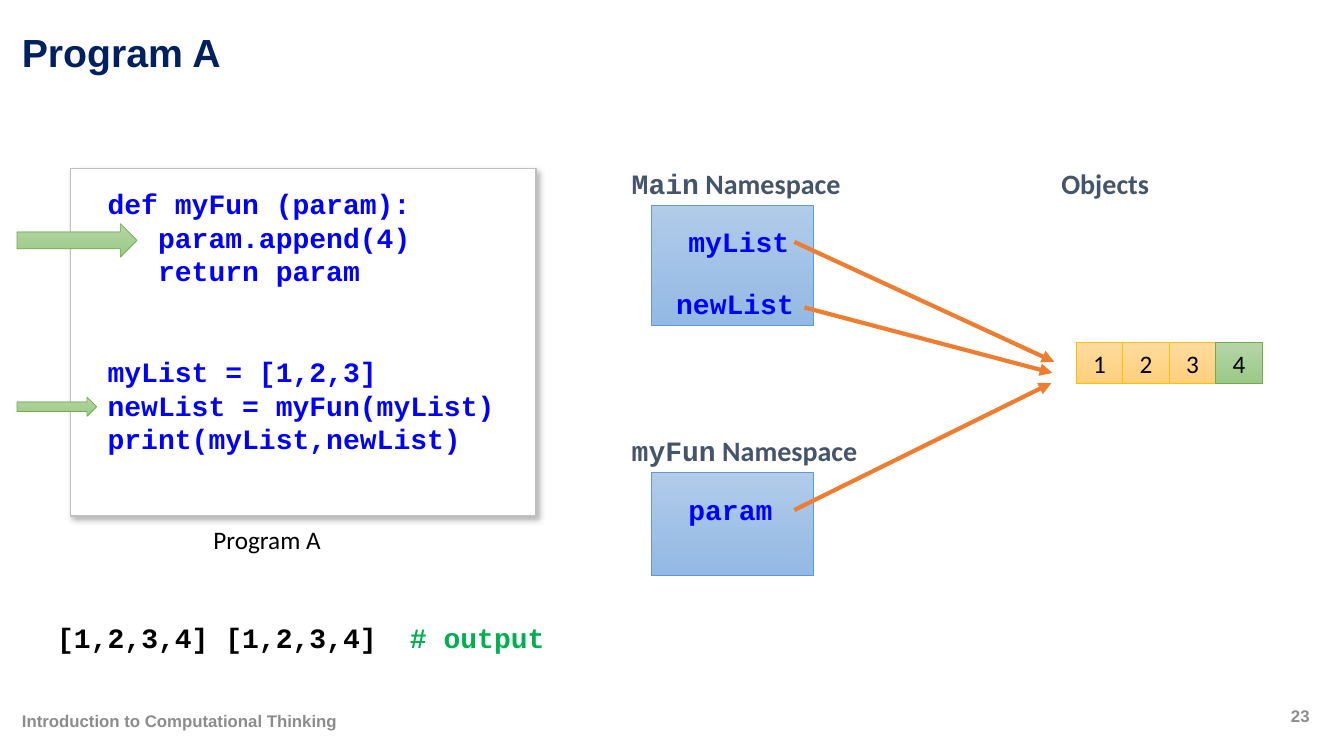
from pptx import Presentation
from pptx.dml.color import RGBColor
from pptx.enum.shapes import MSO_CONNECTOR, MSO_SHAPE
from pptx.enum.text import MSO_ANCHOR, PP_ALIGN
from pptx.oxml import parse_xml
from pptx.oxml.ns import nsdecls
from pptx.util import Pt

RECT, ARROW = MSO_SHAPE.RECTANGLE, MSO_SHAPE.RIGHT_ARROW
LINE = MSO_CONNECTOR.STRAIGHT
TOP, MID = MSO_ANCHOR.TOP, MSO_ANCHOR.MIDDLE
LEFT, CENTER = PP_ALIGN.LEFT, PP_ALIGN.CENTER

WHITE, BLACK = RGBColor(255, 255, 255), RGBColor(0, 0, 0)
NAVY, GRAY = RGBColor(0, 0x20, 0x60), RGBColor(0x8C, 0x8C, 0x8C)
CODE, SLATE = RGBColor(0, 0, 255), RGBColor(0x44, 0x54, 0x6A)
EDGE, NOTE = RGBColor(0xBF, 0xBF, 0xBF), RGBColor(0, 0xB0, 0x50)
ORANGE = RGBColor(0xED, 0x7D, 0x31)
BLUE = (RGBColor(0xB1, 0xCB, 0xE9), RGBColor(0x93, 0xB9, 0xE4), RGBColor(0x5B, 0x9B, 0xD5))
GOLD = (RGBColor(0xFF, 0xDB, 0x9E), RGBColor(0xFF, 0xD0, 0x7C), RGBColor(0xFF, 0xC0, 0))
GREEN = (RGBColor(0xB5, 0xD5, 0xA7), RGBColor(0x9C, 0xC9, 0x87), RGBColor(0x70, 0xAD, 0x47))

SANS, BODY, MONO = "Arial", "Calibri", "Courier New"
HEAD = (SANS, 28, NAVY, True)
FOOT = (SANS, 12, GRAY, True)
PLAIN = (BODY, 18, BLACK, False)
MONO_BLUE = (MONO, 20, CODE, True)
MONO_SLATE = (MONO, 20, SLATE, True)
BODY_SLATE = (BODY, 20, SLATE, True)
MONO_BLACK = (MONO, 20, BLACK, True)
MONO_NOTE = (MONO, 20, NOTE, True)

PANEL = (50.4, 120.2, 332.6, 248.4)
BLOCKS = [
    ["def myFun (param):", "   param.append(4)", "   return param"],
    ["myList = [1,2,3]", "newList = myFun(myList)", "print(myList,newList)"],
]
BLOCK_GAP = 48
SPACES = [("Main", 115.2, 85.7), ("myFun", 306, 73.4)]
NAMES = [
    ("myList", 484.6, 157, 92.9, (567.4, 172.8), (753.1, 258.5)),
    ("newList", 475.9, 200.9, 105.1, (574.6, 219.6), (751.7, 266.4)),
    ("param", 484.6, 348.5, 92.9, (567.4, 364.3), (751, 273.6)),
]
ITEMS = [("1", GOLD), ("2", GOLD), ("3", GOLD), ("4", GREEN)]
STEPS = [(12.2, 159.8, 85.7, 23.8), (12.2, 283.7, 56.9, 13.7)]

prs = Presentation()
prs.slide_width, prs.slide_height = Pt(960), Pt(540)
slide = prs.slides.add_slide(prs.slide_layouts[6])
shapes = slide.shapes


def write(frame, lines, anchor=TOP, align=LEFT):
    frame.word_wrap = True
    frame.vertical_anchor = anchor
    for i, runs in enumerate(lines):
        para = frame.add_paragraph() if i else frame.paragraphs[0]
        para.alignment = align
        for text, (face, size, color, bold) in runs:
            run = para.add_run()
            run.text = text
            font = run.font
            font.name, font.size, font.bold = face, Pt(size), bold
            font.color.rgb = color


def label(area, *lines, **kw):
    box = shapes.add_textbox(*map(Pt, area))
    write(box.text_frame, lines, **kw)
    return box.text_frame


def block(kind, area, tint):
    shape = shapes.add_shape(kind, *map(Pt, area))
    shape.shadow.inherit = False
    shape.fill.gradient()
    shape.fill.gradient_angle = 270
    for stop, color in zip(shape.fill.gradient_stops, tint):
        stop.color.rgb = color
    shape.line.color.rgb = tint[2]
    shape.line.width = Pt(0.5)
    return shape


def link(start, end):
    line = shapes.add_connector(LINE, *map(Pt, start + end))
    line.line.color.rgb = ORANGE
    line.line.width = Pt(3)
    props = line.element.spPr
    props.ln.append(parse_xml(f'<a:tailEnd {nsdecls("a")} type="triangle"/>'))
    props.append(parse_xml(f'<a:effectLst {nsdecls("a")}/>'))


panel = shapes.add_shape(RECT, *map(Pt, PANEL))
panel.fill.solid()
panel.fill.fore_color.rgb = WHITE
panel.line.color.rgb = EDGE
panel.line.width = Pt(1)
panel.shadow.inherit = False
panel.element.spPr.effectLst.append(parse_xml(
    f'<a:outerShdw {nsdecls("a")} blurRad="{Pt(4.5)}" dist="{Pt(2.6)}" dir="{53 * 60000}"'
    ' algn="tl" rotWithShape="0"><a:srgbClr val="000000"><a:alpha val="30000"/>'
    '</a:srgbClr></a:outerShdw>') if hasattr(panel.element.spPr, "effectLst") else None)

label((8.6, 12.2, 914.4, 49), [("Program A", HEAD)], anchor=MID)
label((8.6, 500.4, 593.3, 28.8), [("Introduction to Computational Thinking", FOOT)], anchor=MID)
label((911.5, 496.8, 34.6, 28.8), [("23", FOOT)], anchor=MID, align=CENTER)

code = label((69.8, 129.6, 313.2, 200.9), *[[(row, MONO_BLUE)] for part in BLOCKS for row in part])
code.paragraphs[len(BLOCKS[0])].space_before = Pt(BLOCK_GAP)
label((145.4, 370.8, 110.2, 28.8), [("Program A", PLAIN)])
label((33.8, 439.9, 480.2, 31.7), [("[1,2,3,4] [1,2,3,4]\t", MONO_BLACK), ("# output", MONO_NOTE)])

for name, top, high in SPACES:
    label((444.2, top, 185, 31.7), [(name, MONO_SLATE), (" Namespace", BODY_SLATE)])
    block(RECT, (465.1, top + 31.3, 115.9, high), BLUE)
for name, x, y, wide, start, end in NAMES:
    label((x, y, wide, 31.7), [(name, MONO_BLUE)])
    link(start, end)

label((751, 115.2, 83.5, 31.7), [("Objects", BODY_SLATE)])
CELL = 33.2
for i, (value, tint) in enumerate(ITEMS):
    cell = block(RECT, (768.8 + i * CELL, 244.5, CELL, 29.5), tint)
    write(cell.text_frame, [[(value, PLAIN)]], anchor=MID, align=CENTER)
for area in STEPS:
    block(ARROW, area, GREEN)

prs.save("out.pptx")
